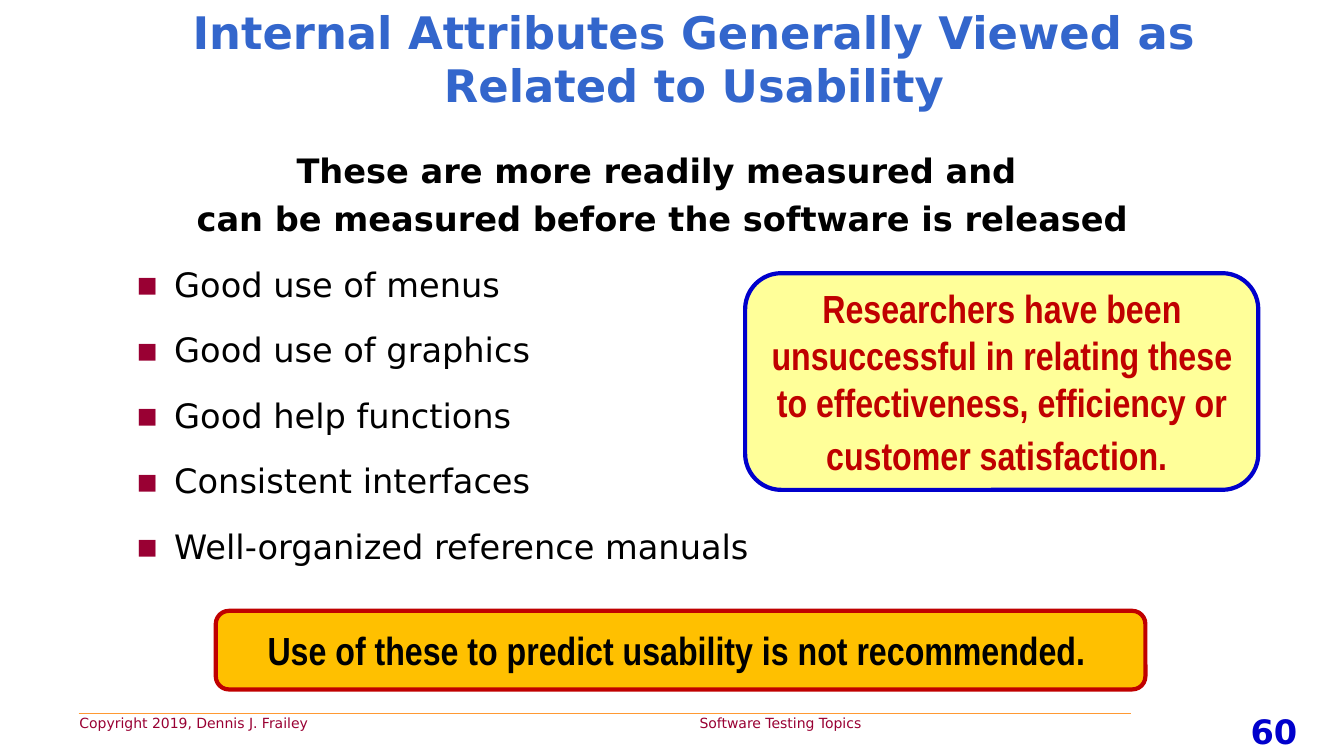
from dataclasses import dataclass

import lxml.etree
import pptx
import pptx.dml.color
import pptx.enum.shapes
import pptx.enum.text
import pptx.oxml.ns
import pptx.util

Inches, Pt = pptx.util.Inches, pptx.util.Pt
RGBColor = pptx.dml.color.RGBColor
SHAPE = pptx.enum.shapes.MSO_SHAPE
CENTER = pptx.enum.text.PP_ALIGN.CENTER
LEFT = pptx.enum.text.PP_ALIGN.LEFT
TOP = pptx.enum.text.MSO_ANCHOR.TOP
MIDDLE = pptx.enum.text.MSO_ANCHOR.MIDDLE
qn = pptx.oxml.ns.qn

BLACK = RGBColor(0x00, 0x00, 0x00)
TITLE_BLUE = RGBColor(0x33, 0x66, 0xCC)
DEEP_BLUE = RGBColor(0x00, 0x00, 0xCC)
MAROON = RGBColor(0x99, 0x00, 0x33)
RED = RGBColor(0xC0, 0x00, 0x00)
GOLD = RGBColor(0xFF, 0xC0, 0x00)
PALE_YELLOW = RGBColor(0xFF, 0xFF, 0x99)
ORANGE = RGBColor(0xFF, 0x99, 0x33)

SANS = "DejaVu Sans"
NARROW = "Arial Narrow"


@dataclass
class Box:
    left: float
    top: float
    width: float
    height: float

    def inches(self) -> tuple:
        return tuple(map(Inches, (self.left, self.top, self.width, self.height)))


@dataclass
class Callout:
    box: Box
    text: str
    fill: RGBColor
    line: RGBColor
    color: RGBColor
    end_size: int = 28


def add_run(p, text: str, *, size: float, color: RGBColor, font: str = SANS,
            bold: bool = False) -> None:
    r = p.add_run()
    r.text = text
    r.font.size, r.font.name, r.font.bold = Pt(size), font, bold
    r.font.color.rgb = color


def add_bullet(p) -> None:
    pPr = p._p.get_or_add_pPr()
    pPr.set("marL", str(Inches(0.38)))
    pPr.set("indent", str(-Inches(0.38)))
    color = lxml.etree.SubElement(pPr, qn("a:buClr"))
    lxml.etree.SubElement(color, qn("a:srgbClr"), val=str(MAROON))
    lxml.etree.SubElement(pPr, qn("a:buFont"), typeface=SANS)
    lxml.etree.SubElement(pPr, qn("a:buChar"), char="▪")


def add_tab(p, position: float) -> None:
    tabs = lxml.etree.SubElement(p._p.get_or_add_pPr(), qn("a:tabLst"))
    lxml.etree.SubElement(tabs, qn("a:tab"), pos=str(Inches(position)), algn="l")


def add_textbox(slide, box: Box, anchor=TOP):
    tf = slide.shapes.add_textbox(*box.inches()).text_frame
    tf.word_wrap = True
    tf.vertical_anchor = anchor
    return tf


def add_text(tf, text: str, *, align=LEFT, before: float = 0, bullet: bool = False,
             tab: float = 0, **run_format):
    first = not tf.paragraphs[0].runs
    p = tf.paragraphs[0] if first else tf.add_paragraph()
    p.alignment = align
    if not first:
        p.space_before = Pt(before)
    if bullet:
        add_bullet(p)
    if tab:
        add_tab(p, tab)
    add_run(p, text, **run_format)
    return p


def add_callout(slide, callout: Callout) -> None:
    sp = slide.shapes.add_shape(SHAPE.ROUNDED_RECTANGLE, *callout.box.inches())
    sp.shadow.inherit = False
    sp.fill.solid()
    sp.fill.fore_color.rgb = callout.fill
    sp.line.color.rgb = callout.line
    sp.line.width = Pt(3)
    tf = sp.text_frame
    tf.word_wrap = True
    tf.vertical_anchor = MIDDLE
    style = dict(color=callout.color, font=NARROW, bold=True)
    p = add_text(tf, callout.text, align=CENTER, size=28, **style)
    add_run(p, " ", size=callout.end_size, **style)


def add_rule(slide, left: float, right: float, y: float) -> None:
    line = slide.shapes.add_connector(
        pptx.enum.shapes.MSO_CONNECTOR.STRAIGHT,
        Inches(left), Inches(y), Inches(right), Inches(y))
    line.line.color.rgb = ORANGE
    line.line.width = Pt(0.75)
    lxml.etree.SubElement(line._element.spPr, qn("a:effectLst"))


HEADING = ["These are more readily measured and ",
           "can be measured before the software is released"]
ATTRIBUTES = ["Good use of menus", "Good use of graphics", "Good help functions",
              "Consistent interfaces", "Well-organized reference manuals"]
CALLOUTS = [
    Callout(Box(2.14, 6.06, 9.22, 0.78),
            "Use of these to predict usability is not recommended.",
            GOLD, RED, BLACK),
    Callout(Box(7.39, 2.71, 5.09, 2.15),
            "Researchers have been unsuccessful in relating these to "
            "effectiveness, efficiency or customer satisfaction.",
            PALE_YELLOW, DEEP_BLUE, RED, end_size=32),
]


def main() -> None:
    prs = pptx.Presentation()
    prs.slide_width, prs.slide_height = Inches(13.33), Inches(7.5)
    slide = prs.slides.add_slide(prs.slide_layouts[6])

    # Footer
    add_rule(slide, 0.78, 11.22, 7.08)
    tf = add_textbox(slide, Box(0.69, 7.04, 10.64, 0.27))
    add_text(tf, "Copyright 2019, Dennis J. Frailey\tSoftware Testing Topics",
             tab=6.15, size=10, color=MAROON)
    tf = add_textbox(slide, Box(11.93, 7, 1.41, 0.5))
    add_text(tf, "60", align=CENTER, size=24, color=DEEP_BLUE, bold=True)

    # Title
    tf = add_textbox(slide, Box(0.95, 0, 11.87, 1.15), MIDDLE)
    add_text(tf, "Internal Attributes Generally Viewed as Related to Usability",
             align=CENTER, size=32, color=TITLE_BLUE, bold=True)

    # Heading and attribute list
    tf = add_textbox(slide, Box(1.25, 1.44, 10.64, 5.18))
    for text in HEADING:
        add_text(tf, text, align=CENTER, before=5.6, size=24, color=BLACK, bold=True)
    for text in ATTRIBUTES:
        add_text(tf, text, before=18, bullet=True, size=24, color=BLACK)

    # Callouts
    for callout in CALLOUTS:
        add_callout(slide, callout)

    prs.save("out.pptx")


if __name__ == "__main__":
    main()
